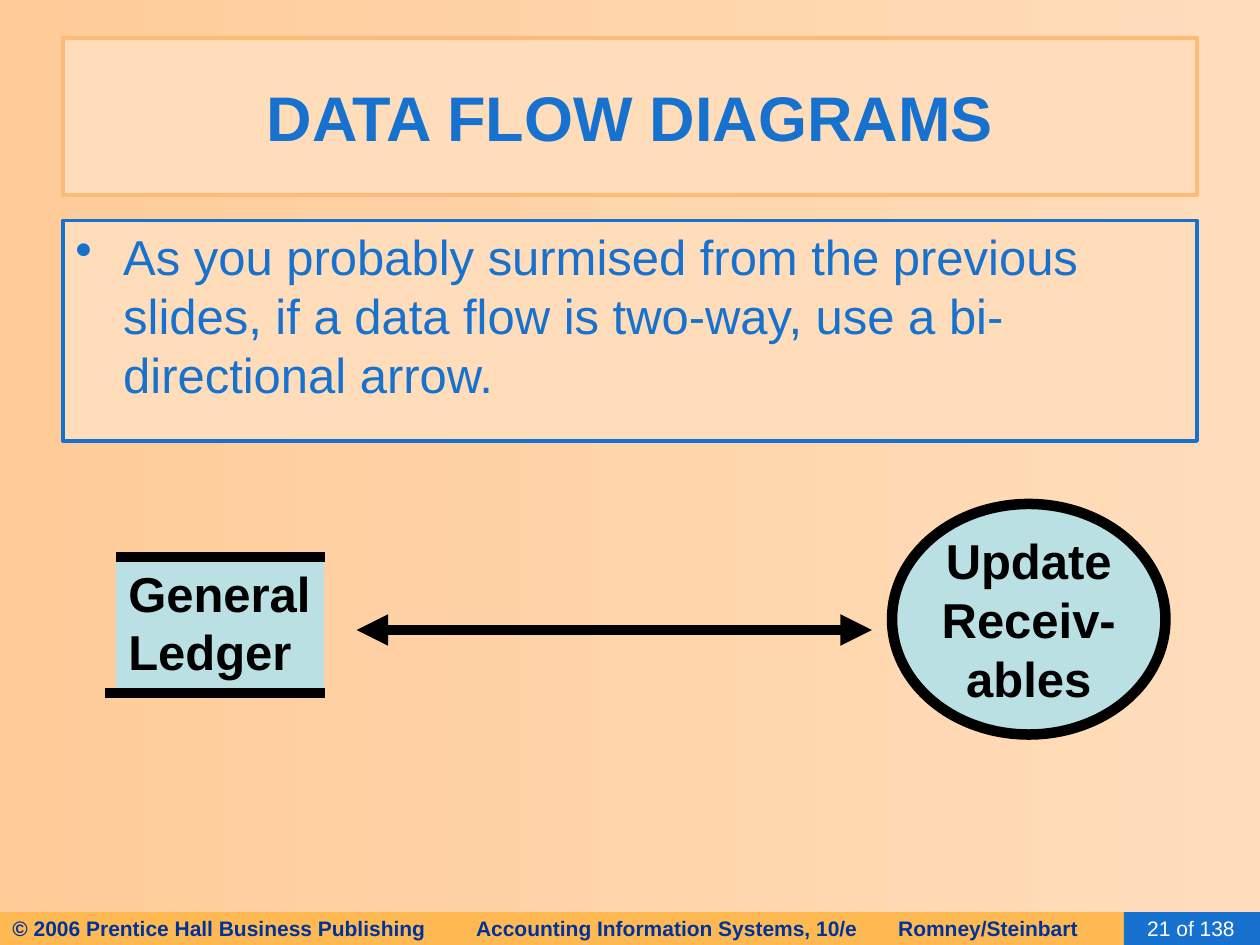
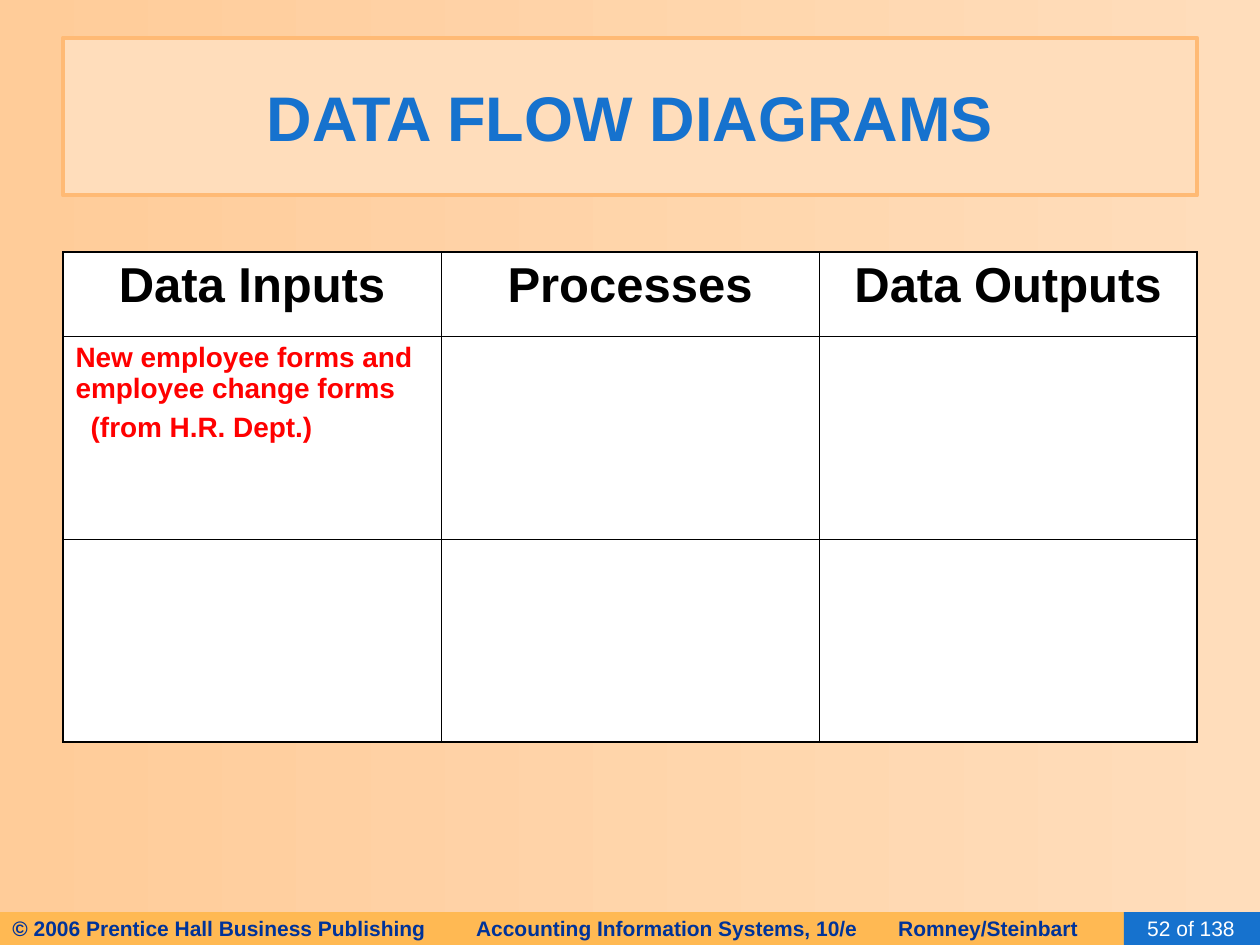
from lxml.etree import SubElement
from pptx import Presentation
from pptx.dml.color import RGBColor
from pptx.enum.shapes import MSO_CONNECTOR, MSO_SHAPE
from pptx.enum.text import MSO_ANCHOR, PP_ALIGN
from pptx.oxml.ns import qn
from pptx.util import Inches, Pt

PEACH = RGBColor(0xFF, 0xDD, 0xBB)
DEEP_PEACH = RGBColor(0xFF, 0xCC, 0x99)
TITLE_BORDER = RGBColor(0xFF, 0xBA, 0x75)
FOOTER_ORANGE = RGBColor(0xFF, 0xB9, 0x53)
FOOTER_NAVY = RGBColor(0x00, 0x33, 0x99)
BLUE = RGBColor(0x16, 0x72, 0xCE)
PALE_TEAL = RGBColor(0xBB, 0xE0, 0xE3)
RED = RGBColor(0xFF, 0x00, 0x00)
BLACK = RGBColor(0x00, 0x00, 0x00)
WHITE = RGBColor(0xFF, 0xFF, 0xFF)


class Deck:
    font_name = "Arial"
    slide_total = 138
    heading = "DATA FLOW DIAGRAMS"
    footer_parts = ("© 2006 Prentice Hall Business Publishing",
                    "Accounting Information Systems, 10/e", "Romney/Steinbart")
    footer_tabs = (3.68, 7.03)
    outer_border, inner_border = 1.08, 0.45

    def __init__(self):
        self.presentation = Presentation()
        self.presentation.slide_width = Inches(10)
        self.presentation.slide_height = Inches(7.5)
        self.slide = None

    def add_slide(self, number):
        self.slide = self.presentation.slides.add_slide(self.presentation.slide_layouts[6])
        fill = self.slide.background.fill
        fill.gradient()
        fill.gradient_angle = 180
        for stop, color, position in zip(fill.gradient_stops, (PEACH, DEEP_PEACH), (0, 1)):
            stop.color.rgb = color
            stop.position = position
        self.footer(number)
        title = self.box(0.5, 0.3, 9, 1.25, PEACH, TITLE_BORDER, 2.5)
        self.add_text(title.text_frame, [self.heading], 36, BLUE, True, PP_ALIGN.CENTER)

    def footer(self, number):
        band = self.box(0, 7.24, 9.25, 0.26, FOOTER_ORANGE)
        paragraph_properties = band.text_frame.paragraphs[0]._p.get_or_add_pPr()
        tab_list = SubElement(paragraph_properties, qn("a:tabLst"))
        for position in self.footer_tabs:
            SubElement(tab_list, qn("a:tab"), pos=str(Inches(position)), algn="l")
        self.add_text(band.text_frame, ["\t".join(self.footer_parts)], 12, FOOTER_NAVY, True)
        counter = self.box(8.92, 7.24, 1.08, 0.26, BLUE)
        counter.text_frame.margin_right = Inches(0.2)
        self.add_text(counter.text_frame, [f"{number} of {self.slide_total}"], 12, WHITE,
                      align=PP_ALIGN.RIGHT)

    def box(self, left, top, width, height, fill, line=None, line_width=1,
            kind=MSO_SHAPE.RECTANGLE, anchor=MSO_ANCHOR.MIDDLE, parent=None):
        shapes = (parent or self.slide).shapes
        shape = shapes.add_shape(kind, Inches(left), Inches(top), Inches(width), Inches(height))
        shape.shadow.inherit = False
        shape.fill.solid()
        shape.fill.fore_color.rgb = fill
        if line is None:
            shape.line.fill.background()
        else:
            shape.line.color.rgb = line
            shape.line.width = Pt(line_width)
        shape.text_frame.word_wrap = True
        shape.text_frame.vertical_anchor = anchor
        return shape

    def add_text(self, frame, texts, size, color, bold=False, align=PP_ALIGN.LEFT,
                 space_before=0):
        for index, text in enumerate(texts):
            paragraph = frame.add_paragraph() if index else frame.paragraphs[0]
            paragraph.alignment = align
            if index:
                paragraph.space_before = Pt(space_before)
            run = paragraph.add_run()
            run.text = text
            run.font.name = self.font_name
            run.font.size = Pt(size)
            run.font.bold = bold
            run.font.color.rgb = color

    def bullet_box(self, text):
        shape = self.box(0.5, 1.75, 9, 1.75, PEACH, BLUE, 2.25, anchor=MSO_ANCHOR.TOP)
        properties = shape.text_frame.paragraphs[0]._p.get_or_add_pPr()
        properties.set("marL", str(Inches(0.38)))
        properties.set("indent", str(-Inches(0.38)))
        bullet_color = SubElement(properties, qn("a:buClr"))
        SubElement(bullet_color, qn("a:srgbClr"), val=str(BLUE))
        SubElement(properties, qn("a:buChar"), char="•")
        self.add_text(shape.text_frame, [text], 28, BLUE)

    def line(self, left, right, top, arrows=False, parent=None):
        connector = (parent or self.slide).shapes.add_connector(
            MSO_CONNECTOR.STRAIGHT, Inches(left), Inches(top), Inches(right), Inches(top))
        connector.line.color.rgb = BLACK
        connector.line.width = Pt(6)
        properties = connector._element.spPr
        if arrows:
            for end in ("a:headEnd", "a:tailEnd"):
                SubElement(properties.find(qn("a:ln")), qn(end), type="triangle")
        SubElement(properties, qn("a:effectLst"))

    def process(self, left, top, width, height, lines):
        shape = self.box(left, top, width, height, PALE_TEAL, BLACK, 6, MSO_SHAPE.OVAL)
        shape.text_frame.word_wrap = False
        self.add_text(shape.text_frame, lines, 28, BLACK, True, PP_ALIGN.CENTER)

    def data_store(self, lines):
        group = self.slide.shapes.add_group_shape()
        store = self.box(0.92, 4.42, 1.65, 1.04, PALE_TEAL, anchor=MSO_ANCHOR.TOP, parent=group)
        self.add_text(store.text_frame, lines, 28, BLACK, True)
        self.line(0.92, 2.58, 4.42, parent=group)
        self.line(0.83, 2.58, 5.5, parent=group)

    def table(self, left, top, column_widths, row_heights, headers):
        rows, columns = len(row_heights), len(column_widths)
        table = self.slide.shapes.add_table(
            rows, columns, Inches(left), Inches(top),
            Inches(sum(column_widths)), Inches(sum(row_heights))).table
        table.first_row = table.horz_banding = False
        for column, width in zip(table.columns, column_widths):
            column.width = Inches(width)
        for row, height in zip(table.rows, row_heights):
            row.height = Inches(height)
        for row in range(rows):
            for column in range(columns):
                cell = table.cell(row, column)
                self.borders(cell, {"L": column == 0, "R": column == columns - 1,
                                    "T": row == 0, "B": row == rows - 1})
                cell.margin_left = cell.margin_right = Inches(0.1)
                cell.margin_top = cell.margin_bottom = Inches(0.05)
                cell.fill.solid()
                cell.fill.fore_color.rgb = WHITE
        for column, header in enumerate(headers):
            self.add_text(table.cell(0, column).text_frame, [header], 28, BLACK, True,
                          PP_ALIGN.CENTER)
        return table

    def borders(self, cell, outer_sides):
        properties = cell._tc.get_or_add_tcPr()
        for side, is_outer in outer_sides.items():
            width = Pt(self.outer_border if is_outer else self.inner_border)
            border = SubElement(properties, qn(f"a:ln{side}"), w=str(width))
            fill = SubElement(border, qn("a:solidFill"))
            SubElement(fill, qn("a:srgbClr"), val=str(BLACK))


def two_way_flow_slide(deck):
    deck.add_slide(21)
    deck.bullet_box("As you probably surmised from the previous slides, if a data flow is "
                    "two-way, use a bi-directional arrow.")
    deck.process(7.08, 4, 2.17, 1.83, ["Update", "Receiv-", "ables"])
    deck.line(2.83, 6.92, 5, arrows=True)
    deck.data_store(["General", "Ledger"])


def inputs_and_outputs_slide(deck):
    deck.add_slide(52)
    table = deck.table(0.5, 2, [3] * 3, [0.67, 1.61, 1.61],
                       ["Data Inputs", "Processes", "Data Outputs"])
    frame = table.cell(1, 0).text_frame
    deck.add_text(frame, ["New employee forms and employee change forms", "(from H.R. Dept.)"],
                  16, RED, True, space_before=4)
    frame.paragraphs[1]._p.get_or_add_pPr().set("marL", str(Inches(0.12)))


def main():
    deck = Deck()
    two_way_flow_slide(deck)
    inputs_and_outputs_slide(deck)
    deck.presentation.save("out.pptx")


if __name__ == "__main__":
    main()
